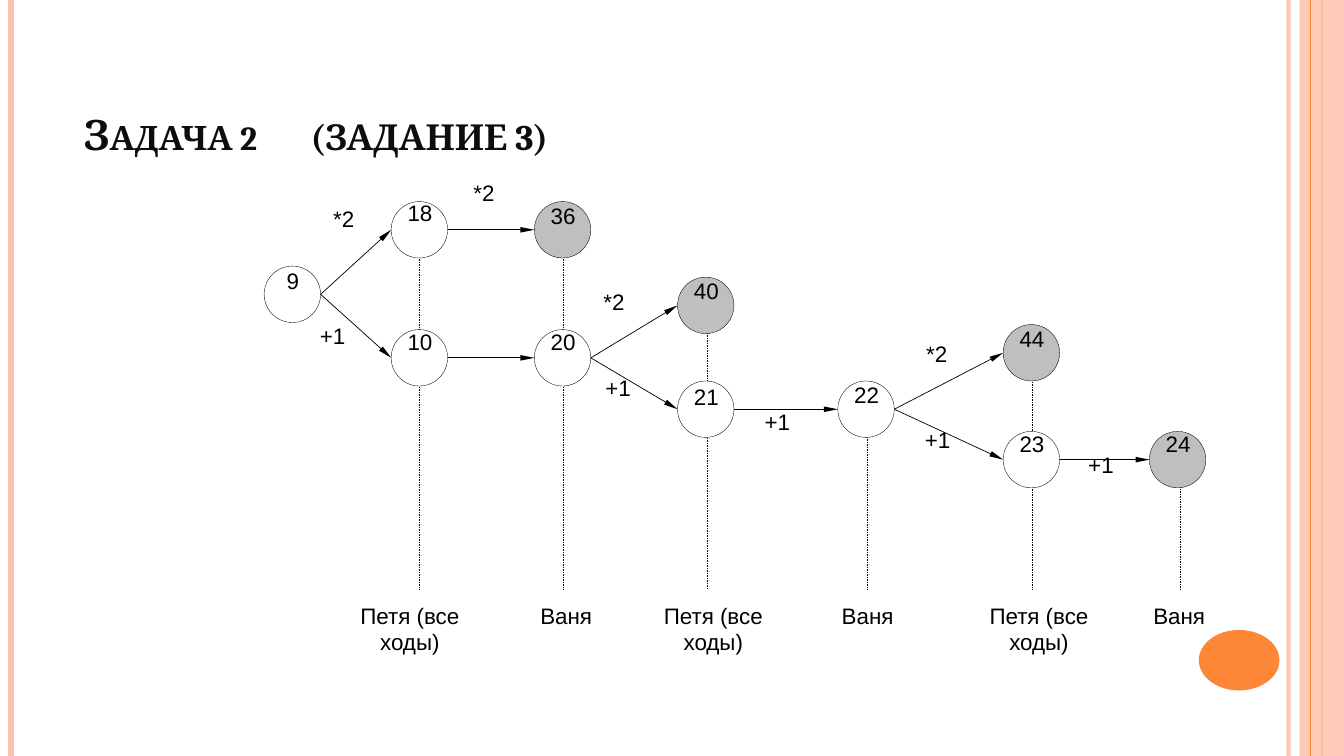
"""Build a slide with the game tree of task 2."""
from lxml import etree
from pptx import Presentation
from pptx.dml.color import RGBColor
from pptx.enum.dml import MSO_LINE
from pptx.enum.shapes import MSO_CONNECTOR, MSO_SHAPE
from pptx.enum.text import MSO_ANCHOR, PP_ALIGN
from pptx.oxml.ns import qn
from pptx.util import Inches, Pt

TITLE = [("Задача 2\t", 30), ("(задание 3)", 32)]
OPEN, WON = "FFFFFF", "BFBFBF"
PINK, ORANGE, BLACK = "FEC3AE", "FE8637", "000000"
DIAMETER = 0.56
# number: left, top, top of its text, fill
NODES = {
    "9": (2.62, 2.64, 2.6, OPEN),
    "10": (3.88, 3.27, 3.21, OPEN),
    "18": (3.88, 2, 1.93, OPEN),
    "20": (5.3, 3.27, 3.21, OPEN),
    "36": (5.3, 2, 1.96, WON),
    "21": (6.72, 3.78, 3.75, OPEN),
    "40": (6.72, 2.75, 2.7, WON),
    "22": (8.31, 3.78, 3.73, OPEN),
    "23": (9.95, 4.28, 4.22, OPEN),
    "44": (9.95, 3.22, 3.18, WON),
    "24": (11.4, 4.28, 4.22, WON),
}
# from, to, move, left and top of the move label
MOVES = [
    ("9", "18", "*2", 3.16, 1.99),
    ("9", "10", "+1", 3.05, 3.15),
    ("18", "36", "*2", 4.55, 1.73),
    ("10", "20", "", 0, 0),
    ("20", "40", "*2", 5.84, 2.81),
    ("20", "21", "+1", 5.88, 3.66),
    ("21", "22", "+1", 7.46, 4),
    ("22", "44", "*2", 9.04, 3.32),
    ("22", "23", "+1", 9.05, 4.18),
    ("23", "24", "+1", 10.67, 4.43),
]
PETYA, VANYA = "Петя (все ходы)", "Ваня"
# x and top of the guide, player, left of the player label
TURNS = [
    (4.16, 2.3, PETYA, 3.27),
    (5.59, 2.3, VANYA, 4.82),
    (7.01, 3.03, PETYA, 6.28),
    (8.6, 4.06, VANYA, 7.81),
    (10.24, 3.49, PETYA, 9.51),
    (11.71, 4.55, VANYA, 10.9),
]
# x, colour, width, opacity in percent
RULES = [(12.78, PINK, 3, 93), (0.11, PINK, 4.5, 100),
         (13.11, ORANGE, 1.5, 100), (13, ORANGE, 0.75, 100)]


def rgb(value):
    return RGBColor.from_string(value)


def set_opacity(sp, percent):
    color = next(sp._element.spPr.iter(qn("a:srgbClr")))
    etree.SubElement(color, qn("a:alpha"), val=str(percent * 1000))


def add_line(shapes, x1, y1, x2, y2, color, width):
    line = shapes.add_connector(MSO_CONNECTOR.STRAIGHT, Inches(x1), Inches(y1),
                                Inches(x2), Inches(y2))
    line.line.color.rgb = rgb(color)
    line.line.width = Pt(width)
    etree.SubElement(line._element.spPr, qn("a:effectLst"))
    return line


def add_shape(shapes, kind, x, y, w, h, fill, outline=None):
    sp = shapes.add_shape(kind, Inches(x), Inches(y), Inches(w), Inches(h))
    sp.shadow.inherit = False
    sp.fill.solid()
    sp.fill.fore_color.rgb = rgb(fill)
    if outline:
        sp.line.color.rgb = rgb(outline)
        sp.line.width = Pt(0.25)
    else:
        sp.line.fill.background()
    return sp


def add_label(shapes, text, x, y, w, h):
    tf = shapes.add_textbox(Inches(x), Inches(y), Inches(w), Inches(h)).text_frame
    tf.word_wrap = True
    tf.margin_left = tf.margin_right = 0
    p = tf.paragraphs[0]
    p.text = text
    p.alignment = PP_ALIGN.CENTER
    p.font.name = "Arial"
    p.font.size = Pt(16)
    p.font.color.rgb = rgb(BLACK)


def add_frame(shapes):
    for x, color, width, opacity in RULES:
        line = add_line(shapes, x, 0, x, 7.5, color, width)
        if opacity < 100:
            set_opacity(line, opacity)
        if x == 13.11:
            band = add_shape(shapes, MSO_SHAPE.RECTANGLE, 12.89, 0, 0.44, 7.5, PINK)
            set_opacity(band, 87)
    add_shape(shapes, MSO_SHAPE.OVAL, 11.89, 6.25, 0.8, 0.6, ORANGE)


def fill_title(title):
    title.left, title.top = Inches(0.73), Inches(0)
    title.width, title.height = Inches(11.13), Inches(1.63)
    tf = title.text_frame
    tf.vertical_anchor = MSO_ANCHOR.BOTTOM
    p = tf.paragraphs[0]
    p.alignment = PP_ALIGN.LEFT
    tabs = etree.SubElement(p._p.get_or_add_pPr(), qn("a:tabLst"))
    etree.SubElement(tabs, qn("a:tab"), pos=str(Inches(2.25)), algn="l")
    for text, size in TITLE:
        r = p.add_run()
        r.text = text
        r.font.name = "Cambria"
        r.font.size = Pt(size)
        r.font.bold = True
        r.font.color.rgb = rgb("0D0D0D")
        r._r.get_or_add_rPr().set("cap", "small")


def add_tree(shapes):
    for x, top, player, left in TURNS:
        guide = add_line(shapes, x, top, x, 5.85, BLACK, 0.25)
        guide.line.dash_style = MSO_LINE.DASH
    for x, y, text_top, fill in NODES.values():
        add_shape(shapes, MSO_SHAPE.OVAL, x, y, DIAMETER, DIAMETER, fill, BLACK)
    radius = DIAMETER / 2
    for start, end, move, left, top in MOVES:
        x1, y1 = NODES[start][:2]
        x2, y2 = NODES[end][:2]
        arrow = add_line(shapes, x1 + DIAMETER, y1 + radius, x2, y2 + radius, BLACK, 0.5)
        etree.SubElement(arrow.line._get_or_add_ln(), qn("a:tailEnd"),
                         type="triangle", w="sm", len="lg")
        if move:
            add_label(shapes, move, left, top, 0.5, 0.62)
    for number, (x, y, text_top, fill) in NODES.items():
        add_label(shapes, number, x - 0.04, text_top, 0.65, 0.55)
    for x, top, player, left in TURNS:
        add_label(shapes, player, left, 5.92, 1.59, 1.03)


def main():
    prs = Presentation()
    prs.slide_width, prs.slide_height = Inches(13.33), Inches(7.5)
    s = prs.slides.add_slide(prs.slide_layouts[5])
    add_frame(s.shapes)
    fill_title(s.shapes.title)
    add_tree(s.shapes.add_group_shape().shapes)
    prs.save("out.pptx")


if __name__ == "__main__":
    main()
